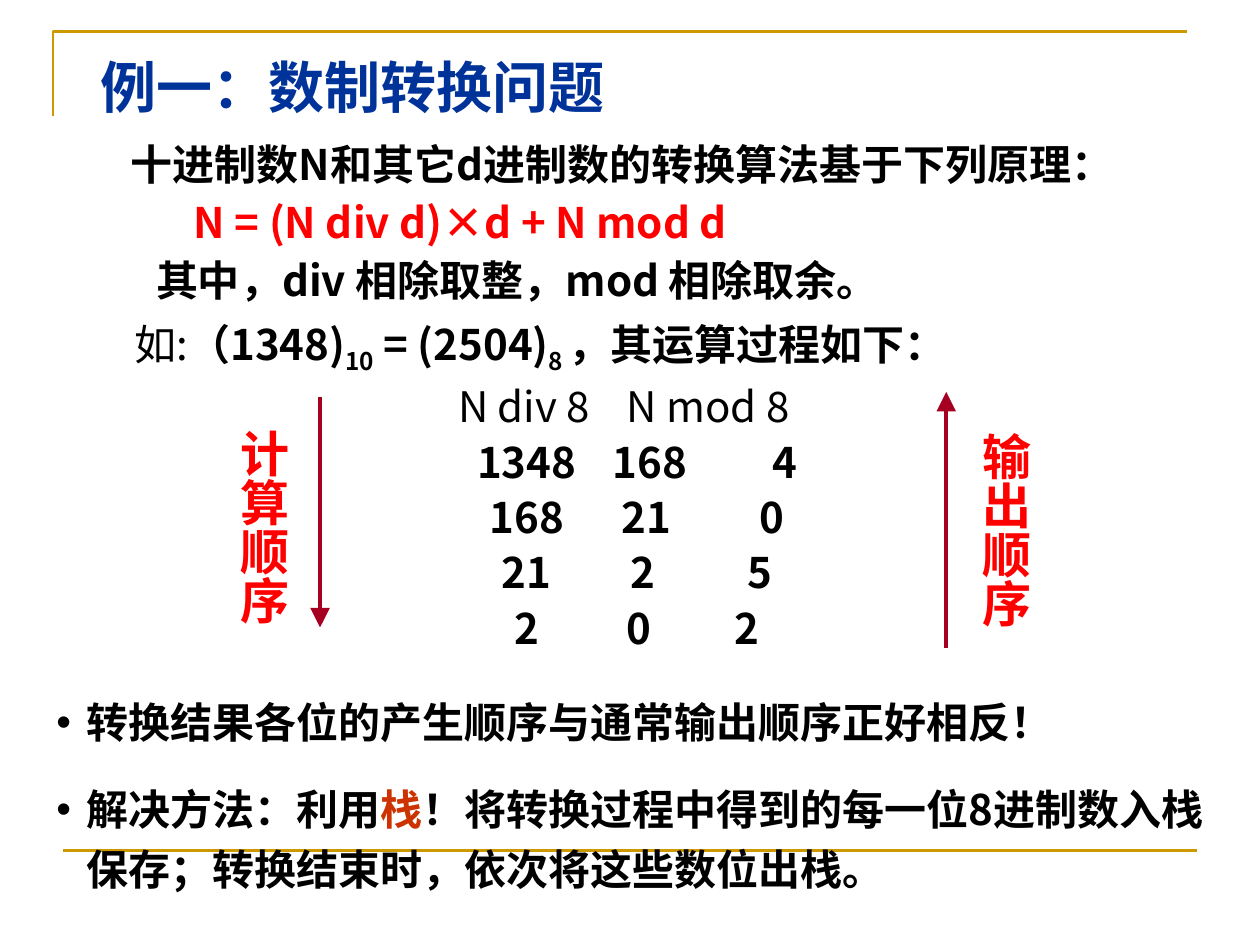
from lxml import etree
from pptx import Presentation
from pptx.dml.color import RGBColor
from pptx.enum.shapes import MSO_CONNECTOR
from pptx.enum.text import MSO_ANCHOR, PP_ALIGN
from pptx.oxml.ns import qn
from pptx.util import Inches, Pt

STRAIGHT = MSO_CONNECTOR.STRAIGHT
TOP, BOTTOM = MSO_ANCHOR.TOP, MSO_ANCHOR.BOTTOM
LEFT, CENTER = PP_ALIGN.LEFT, PP_ALIGN.CENTER

CJK = "Noto Sans CJK SC"
BLACK, RED, BLUE = "000000", "FF0000", "003399"
STACK_RED, GOLD, ARROW = "CC3300", "CC9900", "A50021"
BODY = 24

# A run is (text, format changes).
TITLE = "例一：数制转换问题"
PRINCIPLE = [  # (indent, runs)
    (0.11, [("十进制数N和其它d进制数的转换算法基于下列原理：", {})]),
    (0.61, [("N = (N div d)×d + N mod d", {"color": RED})]),
    (0.31, [("其中，div 相除取整，mod 相除取余。", {})]),
]
EXAMPLE = [
    ("如:", {"bold": False}), ("（1348)", {}), ("10", {"baseline": -25}),
    (" = (2504)", {}), ("8 ", {"baseline": -25}), ("，其运算过程如下：", {}),
]
HEADINGS = [("N div 8", 4.16), ("N mod 8", 5.62)]  # (text, centre)
DIVISIONS = [  # (numbers, centre of the last, shift of each number above it)
    (["1348", "168", "21", "2"], 4.18, 0),
    (["168", "21", "2", "0"], 5.07, 0.03),
    (["4", "0", "5", "2"], 5.93, 0.1),
]
WORKING_BOTTOM, WORKING_PITCH, WORKING_SPACING = 5.23, 0.44, 1.1
ORDERS = [  # (label, label left, label top, arrow x, arrow start, arrow end)
    ("计算顺序", 1.71, 3.31, 2.54, 3.15, 4.98),
    ("输出顺序", 7.6, 3.33, 7.51, 5.14, 3.11),
]
CONCLUSIONS = [
    [("转换结果各位的产生顺序与通常输出顺序正好相反！", {})],
    [("解决方法：利用", {}), ("栈", {"color": STACK_RED}),
     ("！将转换过程中得到的每一位8进制数入栈保存；转换结束时，依次将这些数位出栈。", {})],
]


def rgb(color):
    return RGBColor.from_string(color)


def add_run(paragraph, text, size=BODY, color=BLACK, bold=True, font=CJK, baseline=0):
    run = paragraph.add_run()
    run.text = text
    run.font.size, run.font.bold, run.font.name = Pt(size), bold, font
    run.font.color.rgb = rgb(color)
    properties = run.font._element
    etree.SubElement(properties, qn("a:ea"), typeface=CJK)
    if baseline:
        properties.set("baseline", str(baseline * 1000))


def set_frame(shape, box, margins=(0.1, 0.05), wrap=True, anchor=TOP):
    shape.left, shape.top, shape.width, shape.height = map(Inches, box)
    frame = shape.text_frame
    frame.word_wrap, frame.vertical_anchor = wrap, anchor
    frame.margin_left = frame.margin_right = Inches(margins[0])
    frame.margin_top = frame.margin_bottom = Inches(margins[1])
    return frame


def add_text(box, **options):
    return set_frame(slide.shapes.add_textbox(0, 0, 0, 0), box, **options)


def add_paragraph(frame, runs, spacing=1.0, before=0, indent=0, bullet=None, align=LEFT):
    """Fill the empty first paragraph, or append one."""
    first = frame.paragraphs[0]
    is_first = not first.runs
    paragraph = first if is_first else frame.add_paragraph()
    paragraph.alignment, paragraph.line_spacing = align, spacing
    paragraph.space_before = Pt(0 if is_first else before)
    properties = paragraph._p.get_or_add_pPr()
    properties.set("marL", str(Inches(indent)))
    properties.set("indent", str(-Inches(indent) if bullet else 0))
    if bullet:
        etree.SubElement(properties, qn("a:buFont"), typeface="Arial")
        etree.SubElement(properties, qn("a:buChar"), char=bullet)
    for text, changes in runs:
        add_run(paragraph, text, **changes)


def add_working(left, width, rows_below, rows=1):
    """Text box whose last line stands the given rows above the end of the working."""
    bottom = WORKING_BOTTOM - rows_below * WORKING_PITCH
    height = rows * WORKING_PITCH + 0.1
    return add_text((left, bottom - height, width, height), anchor=BOTTOM)


def add_line(start, end, color, width, arrow=False):
    line = slide.shapes.add_connector(STRAIGHT, *map(Inches, start + end))
    line.line.color.rgb, line.line.width = rgb(color), Pt(width)
    if arrow:
        etree.SubElement(line.line._get_or_add_ln(), qn("a:tailEnd"),
                         type="triangle", w="lg", len="lg")
    etree.SubElement(line._element.spPr, qn("a:effectLst"))


def add_corner_rule():
    builder = slide.shapes.build_freeform(Inches(0.42), Inches(0.92))
    corner = [(Inches(0.42), Inches(0.25)), (Inches(9.42), Inches(0.25))]
    builder.add_line_segments(corner, close=False)
    rule = builder.convert_to_shape()
    rule.fill.background()
    rule.line.color.rgb, rule.line.width = rgb(GOLD), Pt(1.5)
    rule.shadow.inherit = False


prs = Presentation()
prs.slide_width, prs.slide_height = Inches(10), Inches(7.5)
slide = prs.slides.add_slide(prs.slide_layouts[5])

add_corner_rule()
add_line((0.5, 6.75), (9.5, 6.75), GOLD, 1.5)

title = set_frame(slide.shapes.title, (0.7, 0.37, 5, 0.64))
add_paragraph(title, [(TITLE, {"size": 32, "color": BLUE, "font": "Arial"})])

principle = add_text((0.83, 0.99, 8.51, 1.58))
for indent, runs in PRINCIPLE:
    add_paragraph(principle, runs, spacing=1.15, indent=indent)

step_count = len(DIVISIONS[0][0])
example = add_working(0.97, 7.72, step_count + 1)
add_paragraph(example, EXAMPLE, spacing=WORKING_SPACING)
for heading, center in HEADINGS:
    frame = add_working(center - 0.75, 1.5, step_count)
    add_paragraph(frame, [(heading, {"bold": False})], WORKING_SPACING, align=CENTER)
for numbers, center, shift in DIVISIONS:
    column = add_working(center - 0.6, 1.2, 0, rows=step_count)
    for rows_above, number in zip(reversed(range(step_count)), numbers):
        # Centred text moves by half of its indent.
        add_paragraph(column, [(number, {})], WORKING_SPACING,
                      indent=2 * shift * rows_above, align=CENTER)

for label, left, top, x, start, end in ORDERS:
    add_line((x, start), (x, end), ARROW, 2.25, arrow=True)
    order = add_text((left, top, 0.66, 1.66), margins=(0.05, 0.1), wrap=False)
    order._txBody.bodyPr.set("vert", "eaVert")
    add_paragraph(order, [(label, {"size": 28, "color": RED})], align=CENTER)

conclusions = add_text((0.35, 5.4, 9.37, 1.75))
for runs in CONCLUSIONS:
    add_paragraph(conclusions, runs, spacing=1.2, before=15, indent=0.24, bullet="•")

prs.save("out.pptx")
